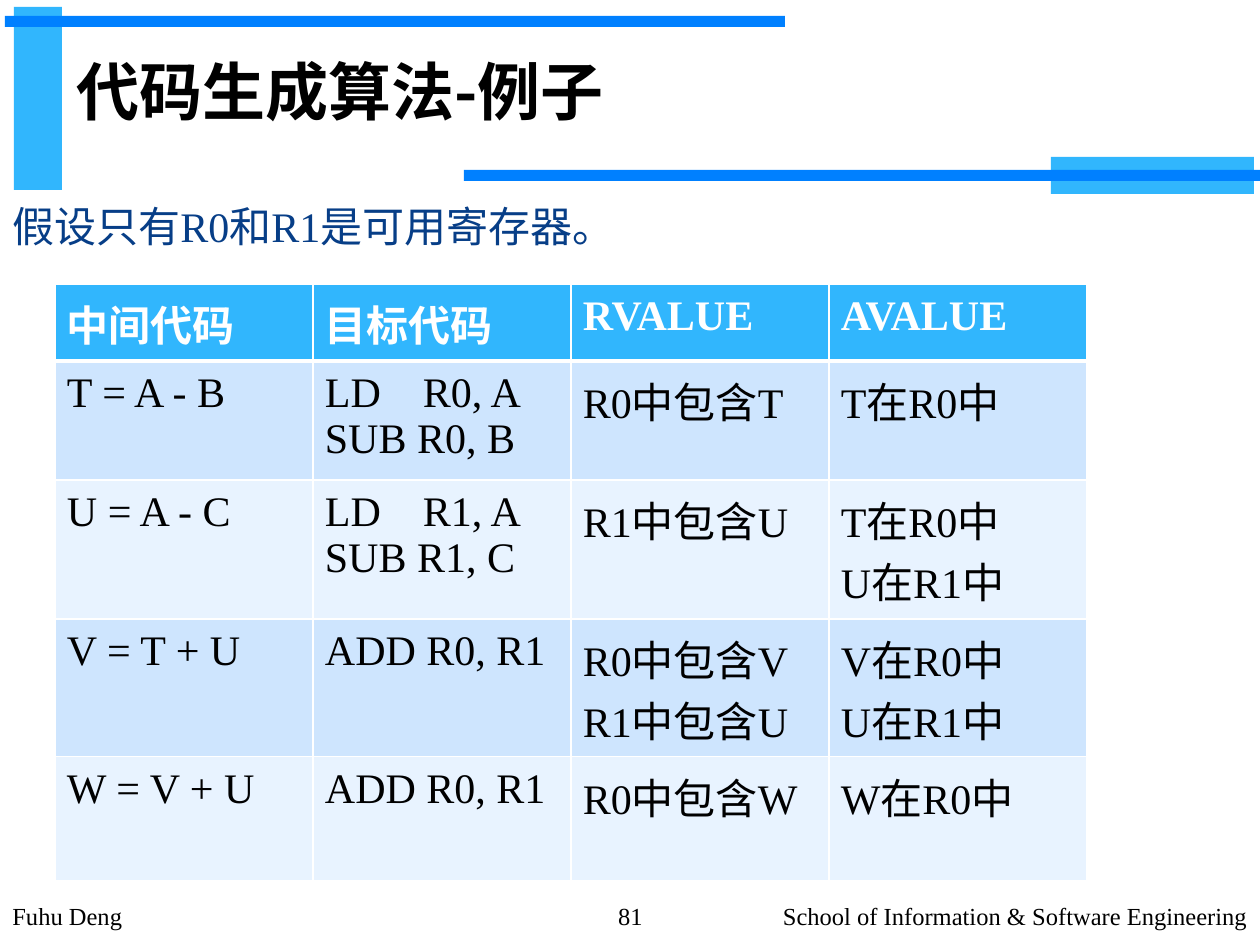
from lxml import etree
from pptx import Presentation
from pptx.dml.color import RGBColor
from pptx.enum.shapes import MSO_SHAPE
from pptx.enum.text import MSO_ANCHOR, PP_ALIGN
from pptx.oxml.ns import qn
from pptx.util import Pt

SCALE = 914400 // 126
RECT = MSO_SHAPE.RECTANGLE
MIDDLE = MSO_ANCHOR.MIDDLE
LEFT, CENTER, RIGHT = PP_ALIGN.LEFT, PP_ALIGN.CENTER, PP_ALIGN.RIGHT
SERIF, SANS = "Times New Roman", "Noto Sans CJK SC"
SKY, BLUE, NAVY = "31B6FD", "0080FF", "073E87"
BLACK, WHITE = "000000", "FFFFFF"
BANDS = ["CEE5FE", "E8F3FF"]

BARS = [
    (14, 7, 48, 183, SKY),
    (5, 16, 780, 11, BLUE),
    (1051, 157, 203, 37, SKY),
    (464, 170, 801, 11, BLUE),
]
HEIGHTS = [77, 118, 139, 138, 124]
ROWS = [
    ["中间代码", "目标代码", "RVALUE", "AVALUE"],
    ["T = A - B", "LD    R0, A\nSUB R0, B", "R0中包含T", "T在R0中"],
    ["U = A - C", "LD    R1, A\nSUB R1, C", "R1中包含U", "T在R0中\nU在R1中"],
    ["V = T + U", "ADD R0, R1", "R0中包含V\nR1中包含U", "V在R0中\nU在R1中"],
    ["W = V + U", "ADD R0, R1", "R0中包含W", "W在R0中"],
]
FOOTERS = [
    (0, 591, "Fuhu Deng", LEFT),
    (591, 79, "81", CENTER),
    (669, 591, "School of Information & Software Engineering", RIGHT),
]


def px(n):
    return n * SCALE


def color(code):
    return RGBColor.from_string(code)


def write(frame, text, size, code, bold=False, face=SERIF, align=LEFT):
    frame.word_wrap = True
    frame.text = text
    for para in frame.paragraphs:
        para.alignment = align
        font = para.font
        font.name, font.size, font.bold = face, Pt(size), bold
        font.color.rgb = color(code)
        # East Asian typeface stays the same for every Latin face
        props = para._p.pPr.find(qn("a:defRPr"))
        etree.SubElement(props, qn("a:ea"), typeface=SANS)


def add_bar(slide, x, y, w, h, code):
    bar = slide.shapes.add_shape(RECT, px(x), px(y), px(w), px(h))
    bar.shadow.inherit = False
    bar.fill.solid()
    bar.fill.fore_color.rgb = color(code)
    bar.line.fill.background()


def add_text(slide, x, y, w, h, text, size, code, align=LEFT):
    box = slide.shapes.add_textbox(px(x), px(y), px(w), px(h))
    write(box.text_frame, text, size, code, align=align)


def set_title(slide, text):
    title = slide.shapes.title
    title.left, title.top = px(64), px(26)
    title.width, title.height = px(1042), px(129)
    title.text_frame.vertical_anchor = MIDDLE
    write(title.text_frame, text, 36, BLACK, True, SANS)


def add_edge(cell, side, width):
    props = cell._tc.get_or_add_tcPr()
    line = etree.SubElement(props, qn("a:ln" + side), w=str(Pt(width)))
    fill = etree.SubElement(line, qn("a:solidFill"))
    etree.SubElement(fill, qn("a:srgbClr"), val=WHITE)


def add_grid(slide, x, y, width):
    cols = len(ROWS[0])
    frame = slide.shapes.add_table(len(ROWS), cols, px(x), px(y),
                                   px(width * cols), px(sum(HEIGHTS)))
    table = frame.table
    for col in table.columns:
        col.width = px(width)
    for r, row in enumerate(ROWS):
        table.rows[r].height = px(HEIGHTS[r])
        head = r == 0
        for c, text in enumerate(row):
            cell = table.cell(r, c)
            cell.margin_left = cell.margin_right = px(12)
            cell.margin_top = cell.margin_bottom = px(9)
            # Thick rule between the header and the body
            edges = {"L": 1, "R": 1, "T": 3 if r == 1 else 1, "B": 3 if head else 1}
            for side, thick in edges.items():
                add_edge(cell, side, thick)
            cell.fill.solid()
            cell.fill.fore_color.rgb = color(SKY if head else BANDS[(r - 1) % 2])
            write(cell.text_frame, text, 24, WHITE if head else BLACK, head)


def main():
    deck = Presentation()
    deck.slide_width, deck.slide_height = px(1260), px(945)
    slide = deck.slides.add_slide(deck.slide_layouts[5])

    # Frame bars and heading
    for bar in BARS:
        add_bar(slide, *bar)
    set_title(slide, "代码生成算法-例子")

    # Premise and register table
    add_text(slide, 0, 194, 1260, 70, "假设只有R0和R1是可用寄存器。", 24, NAVY)
    add_grid(slide, 55, 284, 258)

    # Footer
    for x, w, text, align in FOOTERS:
        add_text(slide, x, 895, w, 50, text, 14, BLACK, align)

    deck.save("out.pptx")


if __name__ == "__main__":
    main()
